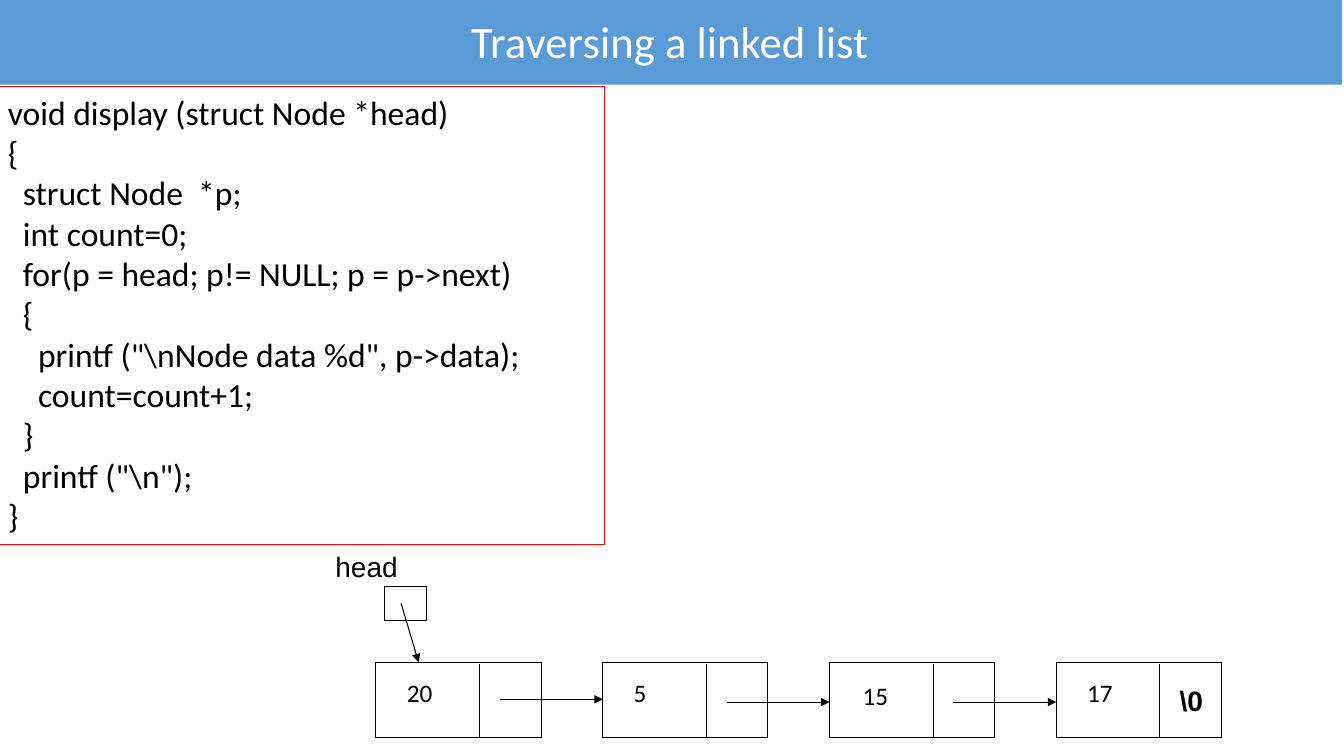
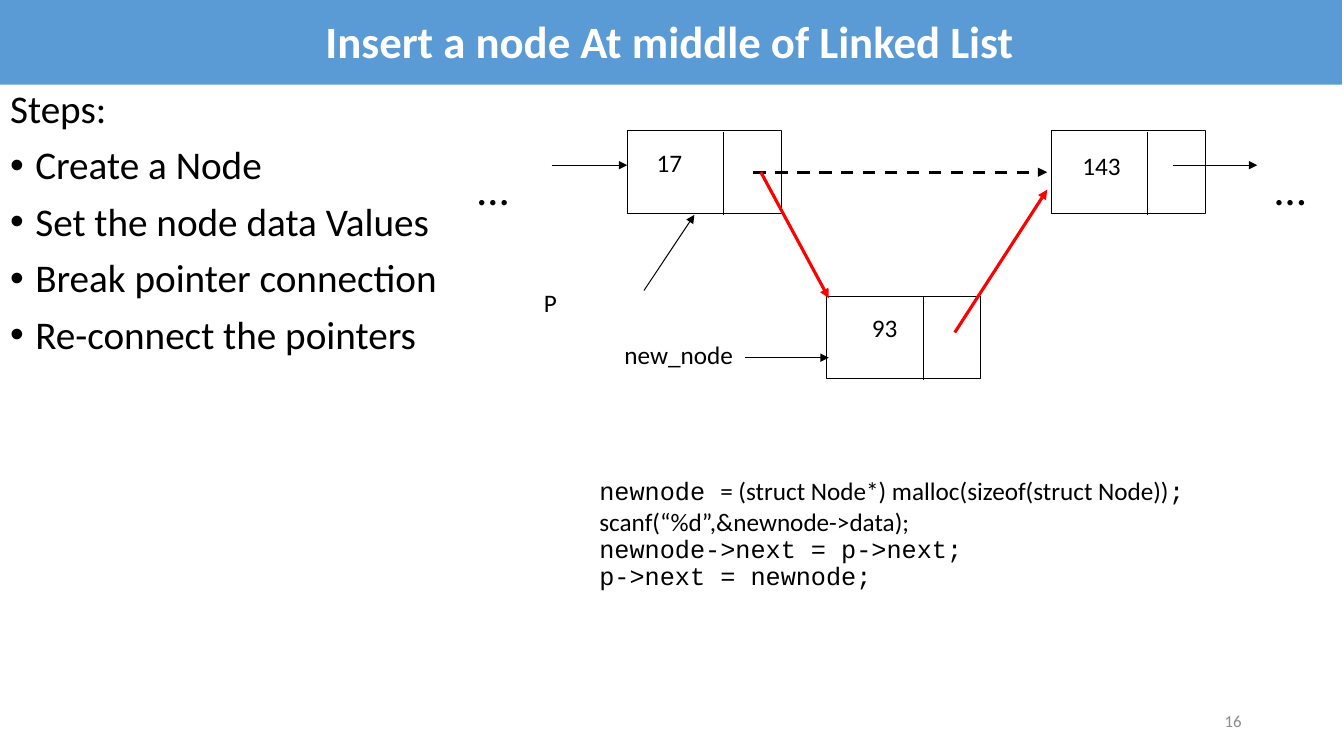
from lxml.etree import SubElement
from pptx import Presentation
from pptx.dml.color import RGBColor
from pptx.enum.dml import MSO_LINE as Dash
from pptx.enum.shapes import MSO_CONNECTOR as Link, MSO_SHAPE as Form
from pptx.enum.text import MSO_ANCHOR as Anchor, MSO_AUTO_SIZE as Fit, PP_ALIGN as Align
from pptx.oxml.ns import qn
from pptx.util import Pt

BLACK, WHITE, RED, BLUE, GREY = "000000", "FFFFFF", "FF0000", "5B9BD5", "8C8C8C"
SANS, PLAIN, MONO = "Calibri", "Arial", "Courier New"


def tint(fmt, color):
    """Give a colour format a hex colour."""
    fmt.rgb = RGBColor.from_string(color)


def write(para, text, size=18, face=SANS, color=BLACK, bold=False,
          align=None, lead=None, gap=None):
    """Add a formatted run to a paragraph."""
    run = para.add_run()
    run.text = text
    font = run.font
    font.size, font.name, font.bold = Pt(size), face, bold
    tint(font.color, color)
    if align is not None:
        para.alignment = align
    if lead is not None:
        para.line_spacing = lead
    if gap is not None:
        para.space_before = Pt(gap)


def indent(para, left, first=0):
    """Set the left and first-line indents of a paragraph."""
    props = para._p.get_or_add_pPr()
    props.set("marL", str(Pt(left)))
    props.set("indent", str(Pt(first)))
    return props


def lines(frame, count):
    """Return the given number of paragraphs of a frame."""
    return [frame.paragraphs[0]] + [frame.add_paragraph() for _ in range(count - 1)]


def place(shape, x, y, w, h):
    """Move and size a shape."""
    shape.left, shape.top, shape.width, shape.height = map(Pt, (x, y, w, h))


class Deck:
    """Hold the deck style and the current slide."""

    def __init__(self):
        """Open a wide deck."""
        self.file = Presentation()
        self.file.slide_width, self.file.slide_height = Pt(960), Pt(540)

    def page(self, title, layout, bold=False):
        """Start a slide with a title band."""
        self.slide = self.file.slides.add_slide(self.file.slide_layouts[layout])
        self.shapes = self.slide.shapes
        band = self.shapes.title
        place(band, -1.5, -3, 960, 63.5)
        band.fill.solid()
        tint(band.fill.fore_color, BLUE)
        frame = band.text_frame
        frame.auto_size, frame.vertical_anchor = Fit.NONE, Anchor.MIDDLE
        write(frame.paragraphs[0], title, size=32, color=WHITE, bold=bold,
              align=Align.CENTER)

    def box(self, x, y, w, h, wrap=True):
        """Add an empty text box."""
        shape = self.shapes.add_textbox(*map(Pt, (x, y, w, h)))
        shape.text_frame.word_wrap = wrap
        return shape

    def label(self, text, x, y, w, h, wrap=True, anchor=Anchor.TOP, **fmt):
        """Add one line of text."""
        frame = self.box(x, y, w, h, wrap).text_frame
        frame.vertical_anchor = anchor
        write(frame.paragraphs[0], text, **fmt)

    def rect(self, x, y, w, h):
        """Add a white box with a thin black edge."""
        shape = self.shapes.add_shape(Form.RECTANGLE, *map(Pt, (x, y, w, h)))
        shape.shadow.inherit = False
        shape.fill.solid()
        tint(shape.fill.fore_color, WHITE)
        tint(shape.line.color, BLACK)
        shape.line.width = Pt(0.75)

    def line(self, x1, y1, x2, y2, color=BLACK, width=0.75, head=True, dash=False):
        """Add a line or an arrow."""
        link = self.shapes.add_connector(Link.STRAIGHT, *map(Pt, (x1, y1, x2, y2)))
        tint(link.line.color, color)
        link.line.width = Pt(width)
        if dash:
            link.line.dash_style = Dash.DASH
        props = link.element.spPr
        if head:
            SubElement(props.get_or_add_ln(), qn("a:tailEnd"), type="triangle")
        SubElement(props, qn("a:effectLst"))

    def node(self, text, x, y, w, h, cut, dx, dy, **fmt):
        """Add a list node with its data and pointer cells."""
        self.rect(x, y, w, h)
        self.line(x + cut, y + 1, x + cut, y + h + 1, head=False)
        self.label(text, x + dx, y + dy, cut - 14, h - 14, **fmt)

    def code(self, rows, x, y, w, h):
        """Add a red framed listing of levels and lines."""
        shape = self.box(x, y, w, h)
        tint(shape.line.color, RED)
        shape.line.width = Pt(0.75)
        for para, (level, text) in zip(lines(shape.text_frame, len(rows)), rows):
            write(para, text, size=24)
            indent(para, 10.8 * level)

    def steps(self, lead, items, x, y, w, h):
        """Fill the body with a lead line and bullets."""
        body = self.slide.placeholders[1]
        place(body, x, y, w, h)
        frame = body.text_frame
        frame.auto_size = Fit.NONE
        paras = lines(frame, len(items) + 1)
        for para, text in zip(paras, [lead] + items):
            write(para, text, size=28, lead=0.9, gap=10)
            props = indent(para, 18, -18)
            if para is paras[0]:
                SubElement(props, qn("a:buNone"))


def walk(deck):
    """Build the traversal slide."""
    deck.page("Traversing a linked list", 5)
    deck.code([
        (0, "void display (struct Node *head)"),
        (0, "{"),
        (1, "struct Node  *p;"),
        (1, "int count=0;"),
        (1, "for(p = head; p!= NULL; p = p->next)"),
        (1, "{"),
        (2, 'printf ("\\nNode data %d", p->data);'),
        (2, "count=count+1;"),
        (1, "}"),
        (1, 'printf ("\\n");'),
        (0, "}"),
    ], -1.5, 62, 433, 327)
    left, top, step = 268.5, 473, 162
    cells = [("20", 15, 7), ("5", 15, 7), ("15", 16.5, 9.5), ("17", 15, 7)]
    for i, (text, dx, dy) in enumerate(cells):
        deck.node(text, left + i * step, top, 118, 53.5, 74, dx, dy)
    for i, y in enumerate((499.5, 501.5, 501.5)):
        x = left + i * step
        deck.line(x + 88.5, y, x + step, y)
    deck.label("head", 232.5, 389, 198, 31, size=20, face=PLAIN)
    deck.rect(275, 419, 30, 24.5)
    deck.line(286.5, 431, 299, top)
    deck.label("\\0", 835, 484.5, 32, 31.5, wrap=False, size=20, face=PLAIN,
               bold=True, align=Align.CENTER)


def insert(deck):
    """Build the insertion slide."""
    deck.page("Insert a node At middle of Linked List", 1, bold=True)
    deck.steps("Steps:", ["Create a Node", "Set the node data Values",
                          "Break pointer connection", "Re-connect the pointers"],
               0, 60.5, 320.5, 235)
    size = 110, 59, 69
    deck.node("17", 448, 93.5, *size, 14, 8)
    deck.node("143", 751, 93.5, *size, 15, 10)
    deck.node("93", 590.5, 211.5, *size, 14, 8, align=Align.CENTER)
    deck.line(538, 123, 748, 123, width=2.25, dash=True)
    for ends in ((394, 118, 448, 118), (838, 118, 898, 118),
                 (460, 207.5, 496, 153.5), (532, 255.5, 592, 255.5)):
        deck.line(*ends)
    for ends in ((543.5, 123, 592, 213), (682, 237.5, 748, 135.5)):
        deck.line(*ends, color=RED, width=2.25)
    for x in (334, 903.5):
        deck.label("…", x, 111.5, 60, 45.5, size=32)
    deck.label("P", 381.5, 201.5, 108, 29)
    deck.label("new_node", 439, 238.5, 114, 29)
    rows = [
        (0.9, [("newnode ", MONO),
               ("= (struct Node*) malloc(sizeof(struct Node))", SANS), (";", MONO)]),
        (None, [("scanf(“%d”,&newnode->data);", SANS)]),
        (0.9, [("newnode->next = p->next;", MONO)]),
        (0.9, [("p->next = newnode;", MONO)]),
    ]
    frame = deck.box(421, 338.5, 495, 91).text_frame
    for para, (lead, runs) in zip(lines(frame, len(rows)), rows):
        for text, face in runs:
            write(para, text, face=face, lead=lead)
    deck.label("16", 678, 500.5, 216, 29, anchor=Anchor.MIDDLE, size=12,
               color=GREY, align=Align.RIGHT)


def main():
    """Build and save the deck."""
    deck = Deck()
    walk(deck)
    insert(deck)
    deck.file.save("out.pptx")


if __name__ == "__main__":
    main()
